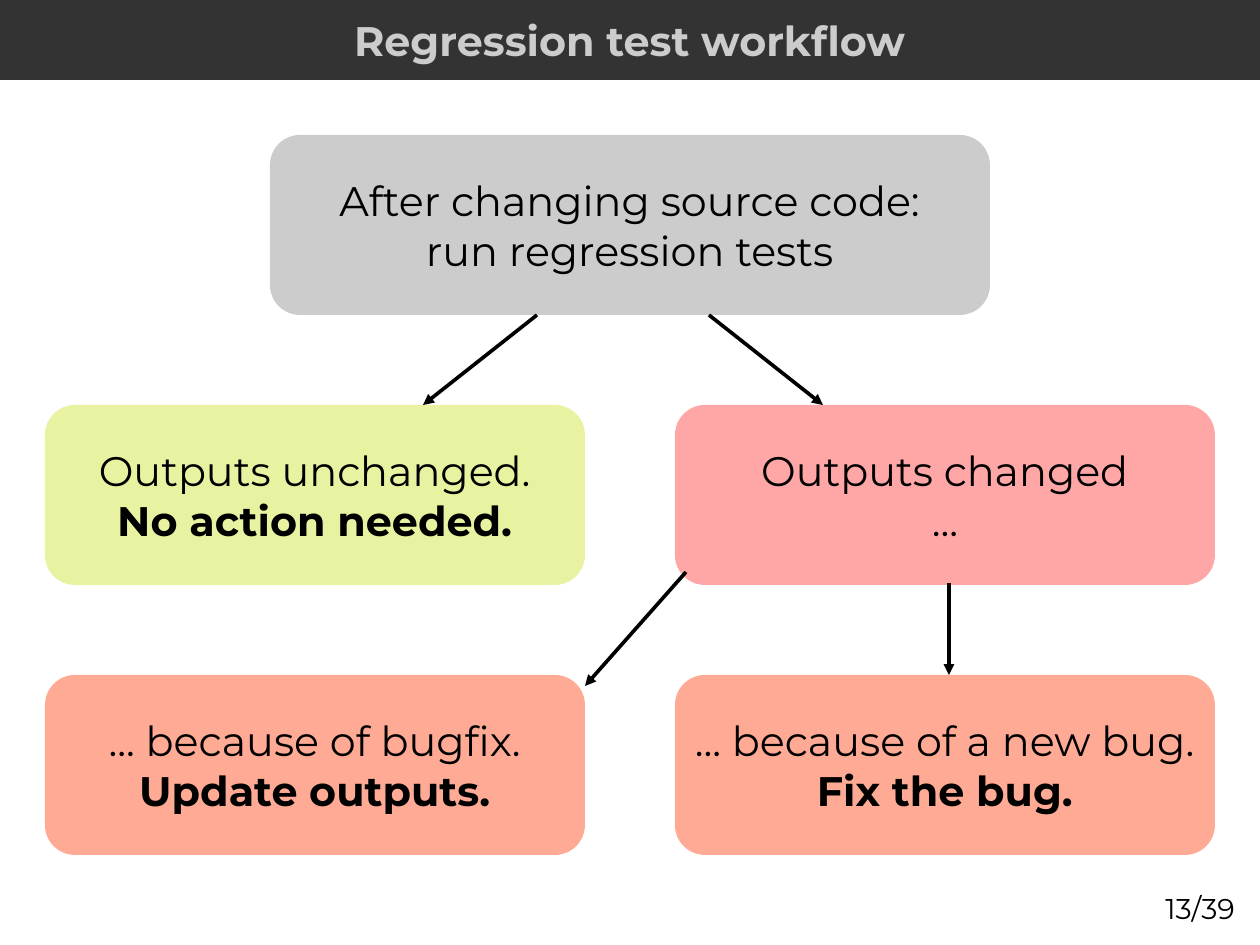
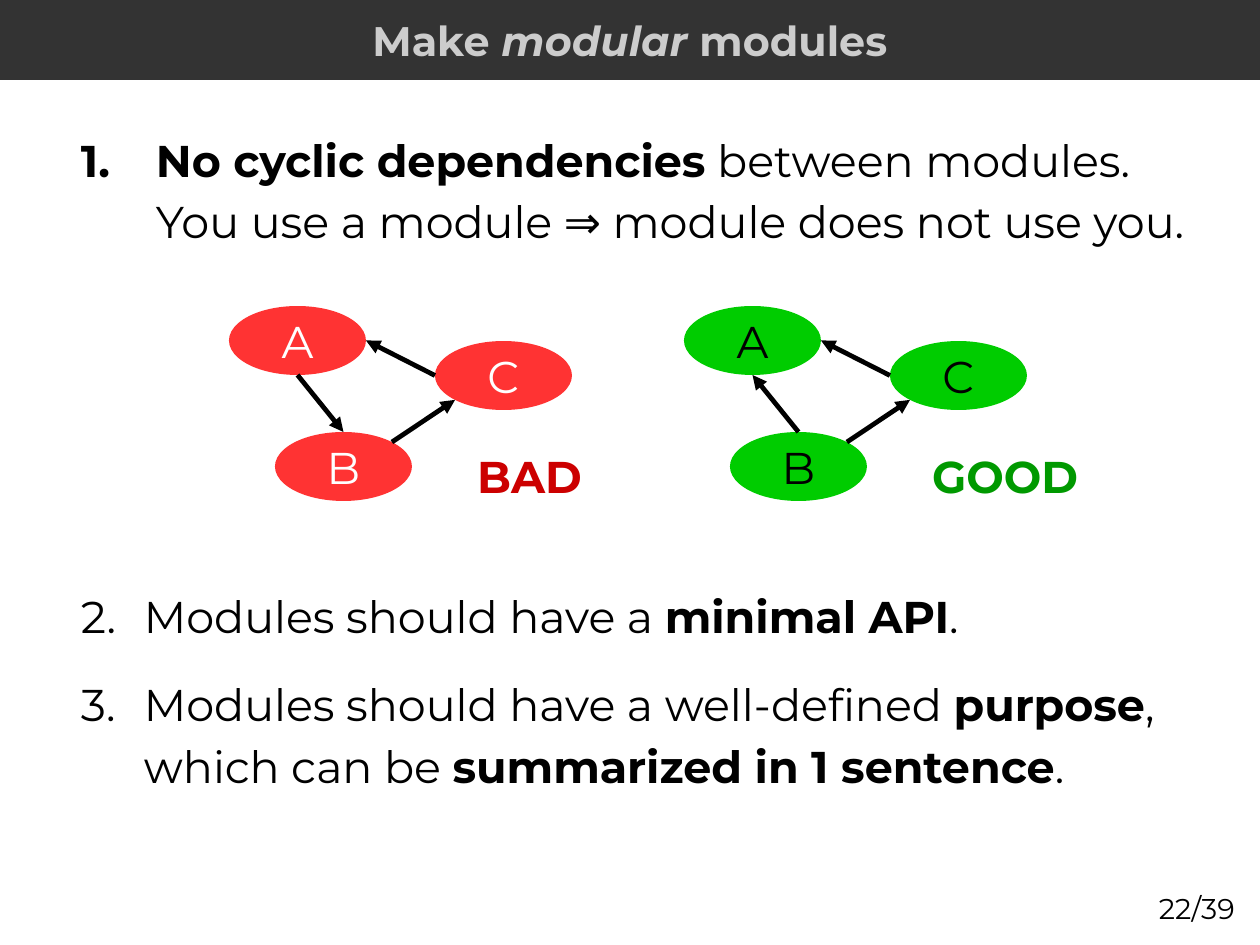
import math

from lxml import etree
from pptx import Presentation
from pptx import util as u
from pptx.dml.color import RGBColor
from pptx.enum import shapes, text
from pptx.oxml.ns import qn

SCALE = 8000  # EMU in one px
WIDTH, HEIGHT = 1260, 945
FONT = "Montserrat"
BLACK, WHITE, SILVER, CHARCOAL = "000000", "FFFFFF", "CCCCCC", "333333"
BOLD, ITALIC = {"bold": True}, {"italic": True}
LEFT, CENTER, RIGHT = text.PP_ALIGN.LEFT, text.PP_ALIGN.CENTER, text.PP_ALIGN.RIGHT
TOP, MIDDLE = text.MSO_ANCHOR.TOP, text.MSO_ANCHOR.MIDDLE
SHAPE = shapes.MSO_SHAPE


def px(*lengths):
    return [u.Emu(round(length * SCALE)) for length in lengths]


def color(value):
    return RGBColor.from_string(value)


def apply(target, values):
    for name, value in values.items():
        setattr(target, name, value)


class Slides:
    """The deck, its style and the slide being filled."""

    def __init__(self):
        self.deck = Presentation()
        self.deck.slide_width, self.deck.slide_height = px(WIDTH, HEIGHT)
        self.slide = None

    def start(self, title, page):
        self.slide = self.deck.slides.add_slide(self.deck.slide_layouts[6])
        self.label(926, 885, 320, 46, page, size=18, align=RIGHT)
        self.shape(SHAPE.RECTANGLE, 0, 0, WIDTH, 80, CHARCOAL, [title],
                   ink=SILVER, bold=True)

    def set_text(self, frame, paragraphs, size=26, ink=BLACK, align=LEFT,
                 anchor=TOP, wrap=True, bold=False):
        """Fill a frame; a paragraph is a list of (text, font values) runs."""
        apply(frame, {"word_wrap": wrap, "vertical_anchor": anchor})
        for number, runs in enumerate(paragraphs):
            para = frame.add_paragraph() if number else frame.paragraphs[0]
            para.alignment = align
            for words, values in runs:
                for line, part in enumerate(words.split("\n")):
                    if line:
                        para.add_line_break()
                    span = para.add_run()
                    span.text = part
                    span.font.color.rgb = color(ink)
                    apply(span.font, {"name": FONT, "size": u.Pt(size),
                                      "bold": bold, **values})

    def shape(self, kind, left, top, width, height, fill, paragraphs, **style):
        box = self.slide.shapes.add_shape(kind, *px(left, top, width, height))
        box.shadow.inherit = False
        box.fill.solid()
        box.fill.fore_color.rgb = color(fill)
        box.line.fill.background()
        self.set_text(box.text_frame, paragraphs, align=CENTER, anchor=MIDDLE,
                      wrap=False, **style)

    def label(self, left, top, width, height, words, **style):
        box = self.slide.shapes.add_textbox(*px(left, top, width, height))
        self.set_text(box.text_frame, [[(words, {})]], **style)

    def arrow(self, start, end, weight):
        arrow = self.slide.shapes.add_connector(
            shapes.MSO_CONNECTOR.STRAIGHT, *px(*start, *end))
        arrow.line.color.rgb = color(BLACK)
        arrow.line.width = u.Pt(weight)
        props = arrow._element.spPr
        etree.SubElement(props.find(qn("a:ln")), qn("a:tailEnd"), type="triangle")
        etree.SubElement(props, qn("a:effectLst"))

    def numbered(self, left, top, width, height, items):
        """Add a numbered list of (space before, text indent, runs) items."""
        box = self.slide.shapes.add_textbox(*px(left, top, width, height))
        frame = box.text_frame
        inset_x, inset_y = px(67, 45)
        apply(frame, {"margin_left": inset_x, "margin_right": inset_x,
                      "margin_top": inset_y, "margin_bottom": inset_y})
        self.set_text(frame, [runs for _, _, runs in items], size=28)
        for para, (gap, indent, _) in zip(frame.paragraphs, items):
            apply(para, {"line_spacing": 1.15, "space_before": u.Pt(gap)})
            margin, hanging = px(indent, 14 - indent)
            props = para._p.get_or_add_pPr()
            props.set("marL", str(margin))
            props.set("indent", str(hanging))
            etree.SubElement(props, qn("a:buFont"), typeface=FONT)
            etree.SubElement(props, qn("a:buAutoNum"), type="arabicPeriod")


def workflow(deck):
    deck.start([("Regression test workflow", {})], "13/39")
    left, right = 45, 675
    rows = [135, 405, 675]
    peach = "FFAA95"
    steps = [
        (270, rows[0], 720, SILVER, "After changing source code:", "run regression tests", {}),
        (left, rows[1], 540, "E8F2A1", "Outputs unchanged.", "No action needed.", BOLD),
        (right, rows[1], 540, "FFA6A6", "Outputs changed", "...", {}),
        (left, rows[2], 540, peach, "... because of bugfix.", "Update outputs.", BOLD),
        (right, rows[2], 540, peach, "... because of a new bug.", "Fix the bug.", BOLD),
    ]
    for x, y, width, fill, first, second, values in steps:
        deck.shape(SHAPE.ROUNDED_RECTANGLE, x, y, width, 180, fill,
                   [[(first, {})], [(second, values)]])
    for start, end in [((537, 315), (423, 405)), ((709, 315), (823, 405)),
                       ((686, 572), (585, 686)), ((949, 583), (949, 675))]:
        deck.arrow(start, end, 2.3)


def module_graph(deck, left, fill, ink, links, verdict, verdict_ink):
    """Draw three modules, arrows between points of their rims and a verdict."""
    width, height = 137, 69
    corners = {"A": (left, 306), "C": (left + 206, 341), "B": (left + 46, 432)}

    def rim(module, angle):
        x, y = corners[module]
        turn = math.radians(angle)
        return (x + width / 2 * (1 + math.cos(turn)),
                y + height / 2 * (1 - math.sin(turn)))

    for module, (x, y) in corners.items():
        deck.shape(SHAPE.OVAL, x, y, width, height, fill, [[(module, {})]],
                   size=28, ink=ink)
    for start, end in links:
        deck.arrow(rim(*start), rim(*end), 3)
    deck.label(left + 237, 443, 180, 65, verdict, size=28, ink=verdict_ink, bold=True)


def modular_design(deck):
    deck.start([("Make ", {}), ("modular", ITALIC), (" modules", {})], "22/39")
    deck.numbered(0, 80, WIDTH, HEIGHT - 80, [
        (17, 89, [("No cyclic dependencies", BOLD),
                  (" between modules.\nYou use a module ⇒ module does not use you.", {})]),
        (210, 77, [("Modules should have a ", {}), ("minimal API", BOLD), (".", {})]),
        (17, 77, [("Modules should have a well-defined ", {}), ("purpose", BOLD),
                  (", which can be ", {}), ("summarized in 1 sentence", BOLD), (".", {})]),
    ])
    shared = [(("B", 45), ("C", 225)), (("C", 180), ("A", 0))]
    down = (("A", 270), ("B", 90))
    module_graph(deck, 229, "FF3333", WHITE, [down, *shared], "BAD", "CC0000")
    module_graph(deck, 684, "00CC00", BLACK, [down[::-1], *shared], "GOOD", "009900")


def main():
    slides = Slides()
    workflow(slides)
    modular_design(slides)
    slides.deck.save("out.pptx")


if __name__ == "__main__":
    main()
